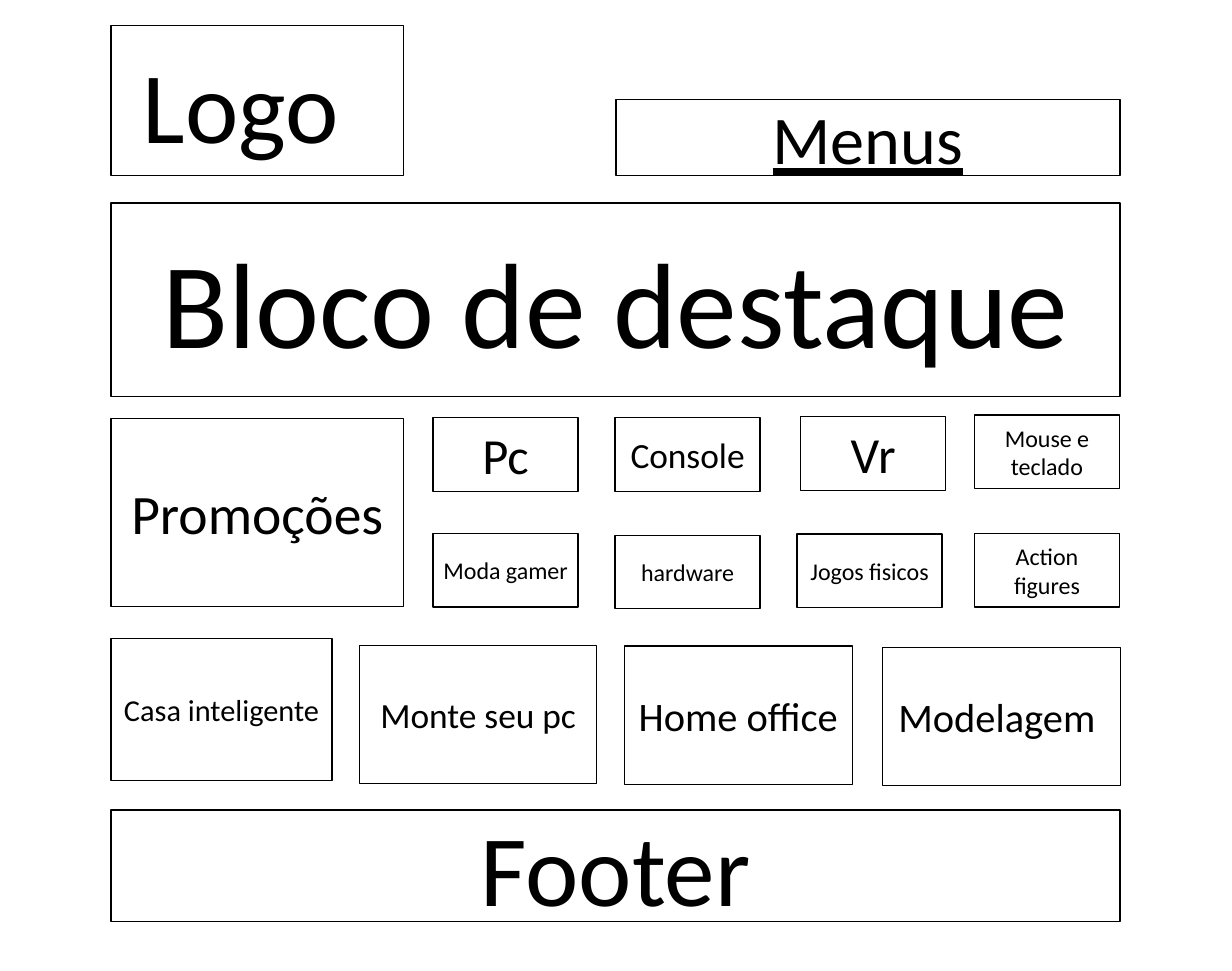
"""Build a one-slide wireframe of a games shop home page."""
from pptx import Presentation
from pptx.dml.color import RGBColor
from pptx.enum.shapes import MSO_SHAPE
from pptx.enum.text import MSO_ANCHOR, PP_ALIGN
from pptx.util import Pt


def color(value):
    return RGBColor.from_string(value)


def write(sp, text, size, align):
    tf = sp.text_frame
    tf.word_wrap = True
    tf.text = text
    p = tf.paragraphs[0]
    p.alignment = align
    for r in p.runs:
        r.font.name = "Calibri"
        r.font.size = Pt(size)
        r.font.color.rgb = color("000000")
        r.font.underline = True if text == "Menus" else None


prs = Presentation()
prs.slide_width, prs.slide_height = Pt(974.88), Pt(768.24)
s = prs.slides.add_slide(prs.slide_layouts[6])

LEFT, WIDTH = 87.8, 798.5
SIDE_W = 231.8
CARD_W, CARD_H = 114.8, 58.3

blocks = [
    ("", 0, LEFT, 20.2, SIDE_W, 118.8),
    ("Menus", 54, 487.4, 78.5, 398.9, 60.5),
    ("Bloco de destaque", 96, LEFT, 160.6, WIDTH, 153.4),
    ("Promoções", 44, LEFT, 331.2, SIDE_W, 149),
    ("Casa inteligente", 24, LEFT, 505.4, 175, 112.3),
    ("Monte seu pc", 28, 284.4, 510.5, 187.9, 109.4),
    ("Home office", 32, 493.9, 511.2, 180.7, 109.4),
    ("Modelagem ", 32, 698.4, 512.6, 188.3, 108.7),
    ("Footer", 80, LEFT, 640.8, WIDTH, 88.6),
]
cards = [
    ("Pc", 40, 342.7, 330.5),
    ("Console", 28, 486.7, 330.5),
    ("Vr", 40, 633.6, 329.8),
    ("Mouse e teclado", 19, 771.1, 328.3),
    ("Moda gamer", 19, 342.7, 421.9),
    ("hardware", 19, 486.7, 423.4),
    ("Jogos fisicos", 19, 630.7, 422.6),
    ("Action figures", 19, 771.1, 421.9),
]
blocks += [(*card, CARD_W, CARD_H) for card in cards]

for text, size, x, y, w, h in blocks:
    sp = s.shapes.add_shape(MSO_SHAPE.RECTANGLE, Pt(x), Pt(y), Pt(w), Pt(h))
    sp.shadow.inherit = False
    sp.fill.solid()
    sp.fill.fore_color.rgb = color("FFFFFF")
    sp.line.color.rgb = color("000000")
    sp.line.width = Pt(1)
    sp.text_frame.vertical_anchor = MSO_ANCHOR.MIDDLE
    if text:
        write(sp, text, size, PP_ALIGN.CENTER)

logo = s.shapes.add_textbox(Pt(105.8), Pt(30.2), Pt(226.1), Pt(104.4))
write(logo, "Logo", 80, PP_ALIGN.LEFT)

prs.save("out.pptx")
